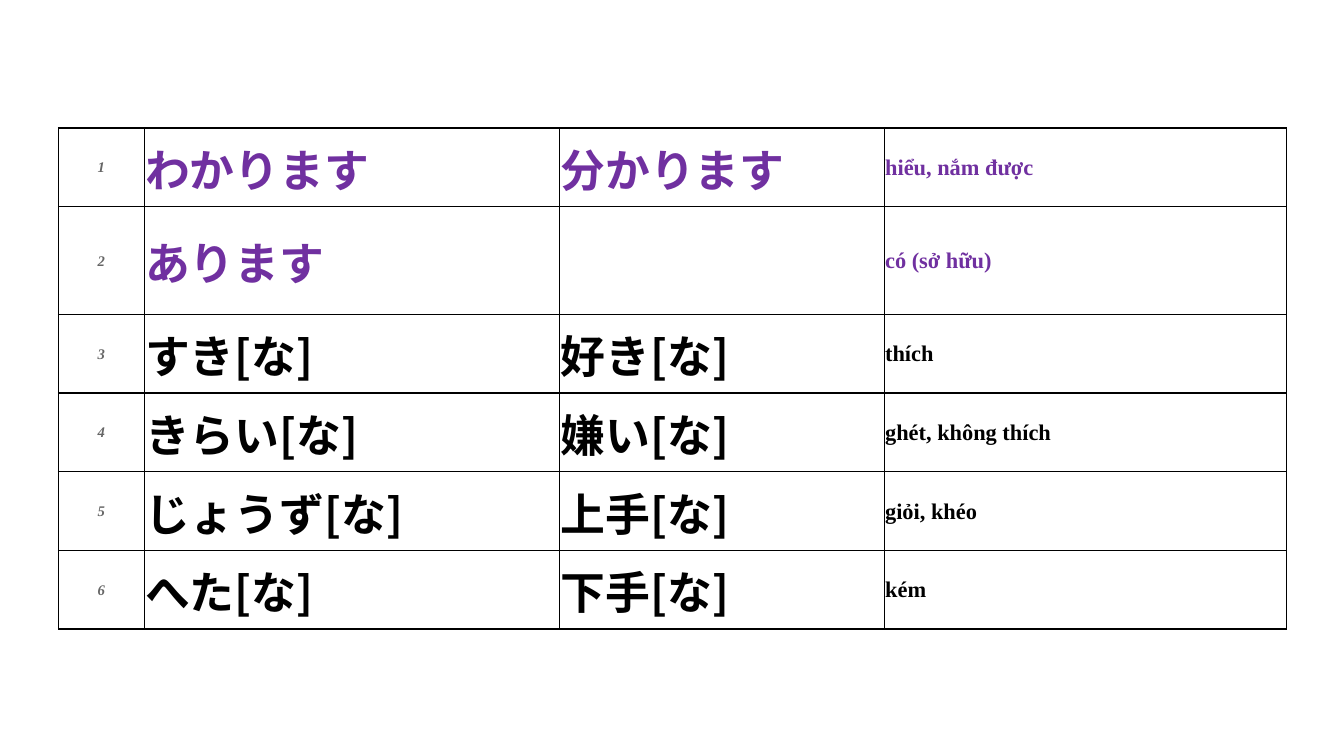
from lxml.etree import SubElement
from pptx import Presentation
from pptx.dml.color import RGBColor
from pptx.enum.text import MSO_ANCHOR, PP_ALIGN
from pptx.oxml.ns import qn
from pptx.util import Inches, Pt

WIDE, HIGH = Inches(13.33), Inches(7.5)
LEFT, TOP = Inches(0.58), Inches(1.27)
COLS = [0.85, 4.12, 3.22, 3.99]
ROWS = [0.78, 1.07] + [0.78] * 4
BLACK, GREY, VIOLET = "000000", "666666", "7030A0"
LATIN, KANA = "Times New Roman", "Noto Sans CJK JP"

WORDS = [
    ("わかります", "分かります", "hiểu, nắm được", VIOLET),
    ("あります", "", "có (sở hữu)", VIOLET),
    ("すき[な]", "好き[な]", "thích", BLACK),
    ("きらい[な]", "嫌い[な]", "ghét, không thích", BLACK),
    ("じょうず[な]", "上手[な]", "giỏi, khéo", BLACK),
    ("へた[な]", "下手[な]", "kém", BLACK),
]

INDEX = {"name": LATIN, "size": Pt(10.5), "bold": True, "italic": True}
JAPAN = {"name": KANA, "size": Pt(32), "bold": True, "italic": False}
SENSE = {"name": LATIN, "size": Pt(16), "bold": True, "italic": False}
FORMS = [INDEX, JAPAN, JAPAN, SENSE]
FRAME = {
    "vertical_anchor": MSO_ANCHOR.MIDDLE,
    "margin_left": Inches(0.01),
    "margin_right": Inches(0.01),
    "margin_top": Inches(0.01),
    "margin_bottom": 0,
}
PLAIN = {"first_row": False, "horz_banding": False}


def put(item, form):
    for key, value in form.items():
        setattr(item, key, value)


def tint(color, code):
    color.rgb = RGBColor.from_string(code)


def edge(cell, code):
    props = cell._tc.get_or_add_tcPr()
    for side in ("a:lnL", "a:lnR", "a:lnT", "a:lnB"):
        line = SubElement(props, qn(side), w=str(Pt(1)))
        fill = SubElement(line, qn("a:solidFill"))
        SubElement(fill, qn("a:srgbClr"), val=code)


def write(cell, text, form, code, align):
    para = cell.text_frame.paragraphs[0]
    para.alignment = align
    run = para.add_run()
    run.text = text
    put(run.font, form)
    tint(run.font.color, code)
    SubElement(run.font._element, qn("a:ea"), typeface=form["name"])


def grid(slide):
    table = slide.shapes.add_table(
        len(ROWS), len(COLS), LEFT, TOP, Inches(sum(COLS)), Inches(sum(ROWS))
    ).table
    put(table, PLAIN)
    for col, width in zip(table.columns, COLS):
        col.width = Inches(width)
    for row, height in zip(table.rows, ROWS):
        row.height = Inches(height)
    for cell in table.iter_cells():
        put(cell, FRAME)
        edge(cell, BLACK)
        cell.fill.background()
    return table


def main():
    deck = Presentation()
    put(deck, {"slide_width": WIDE, "slide_height": HIGH})
    table = grid(deck.slides.add_slide(deck.slide_layouts[6]))
    for row, (*texts, code) in enumerate(WORDS):
        for col, text in enumerate([str(row + 1), *texts]):
            if text:
                shade = code if col else GREY
                align = PP_ALIGN.LEFT if col else PP_ALIGN.CENTER
                write(table.cell(row, col), text, FORMS[col], shade, align)
    deck.save("out.pptx")


if __name__ == "__main__":
    main()
